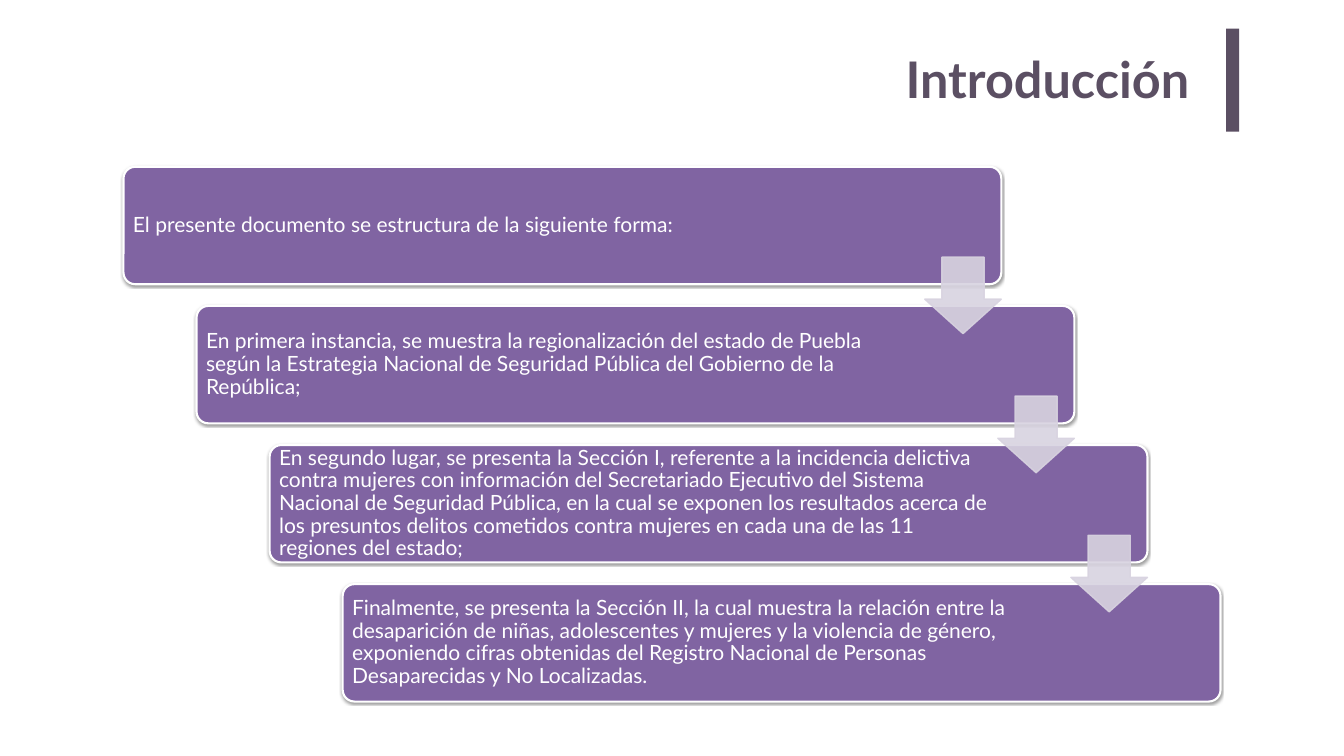
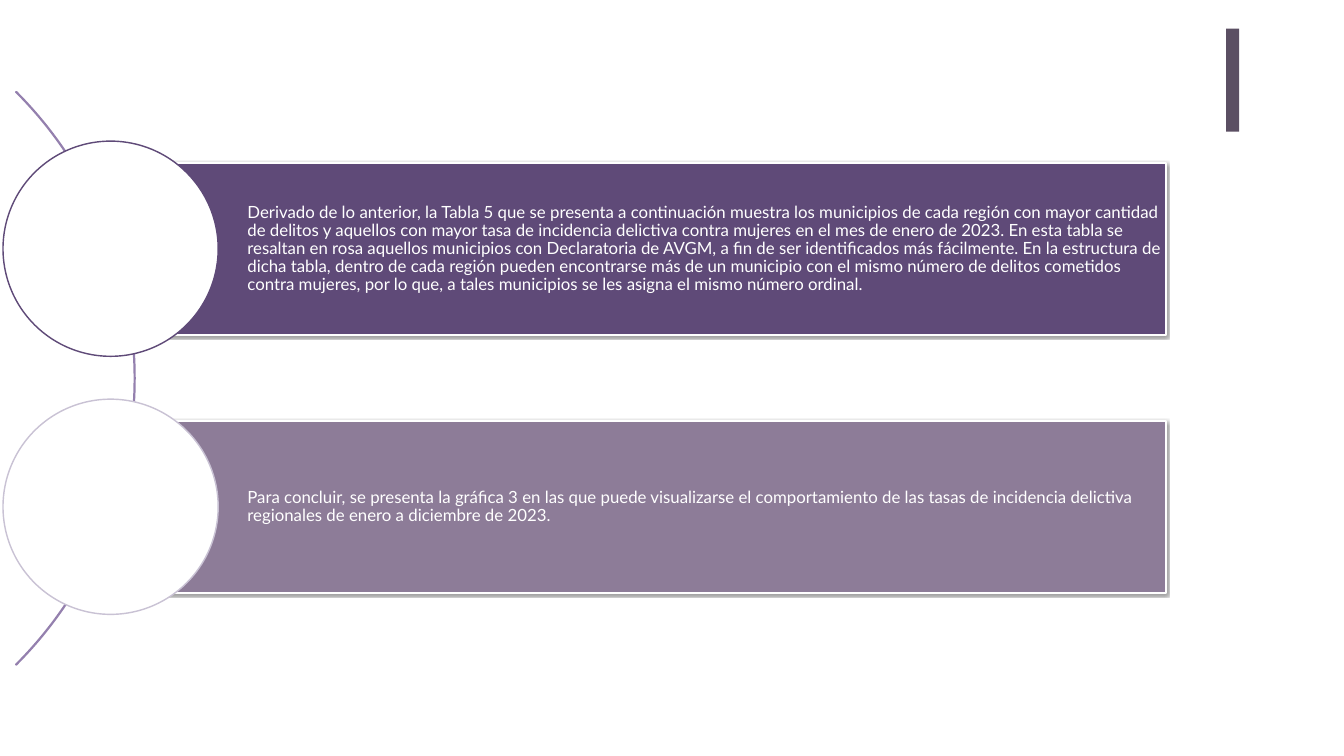
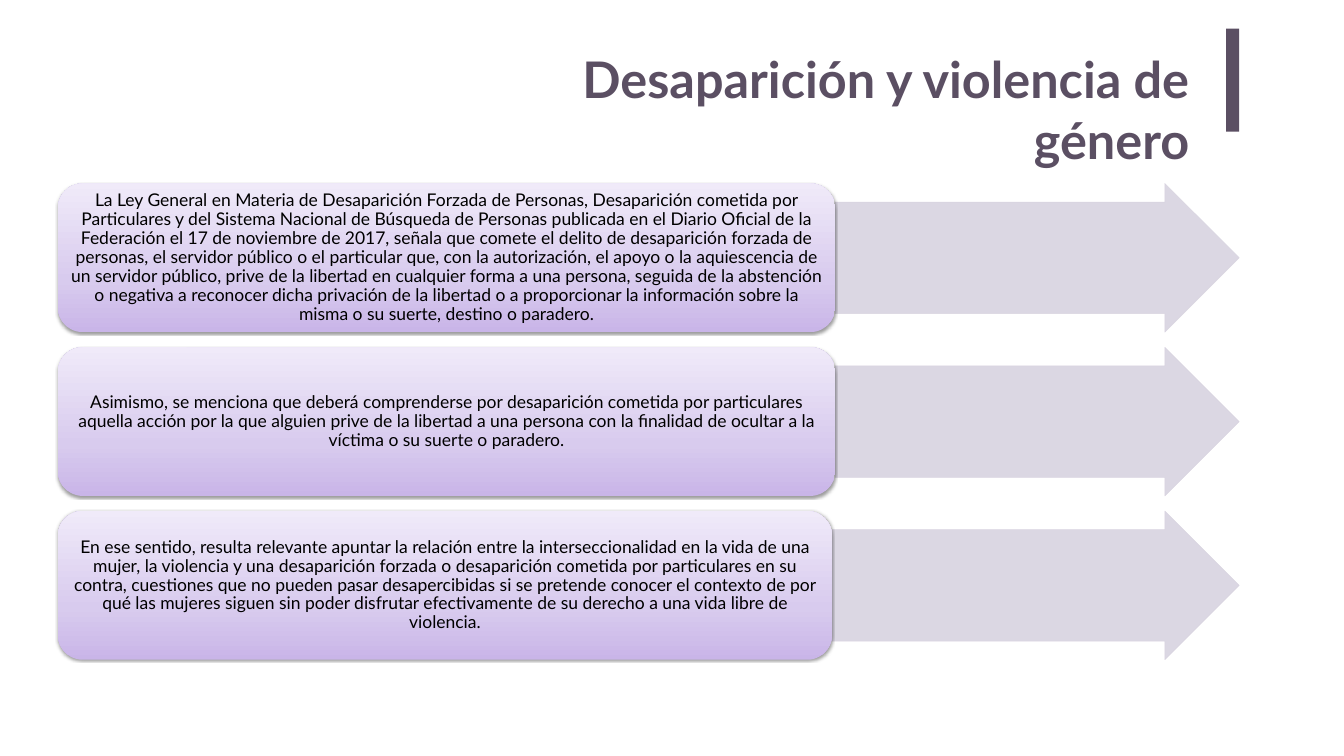
from copy import deepcopy

from lxml.etree import SubElement
from pptx import Presentation
from pptx.dml.color import RGBColor
from pptx.enum.shapes import MSO_SHAPE as SHAPE
from pptx.enum.text import MSO_ANCHOR as ANCHOR, MSO_AUTO_SIZE as AUTO_SIZE, PP_ALIGN as ALIGN
from pptx.oxml.ns import qn
from pptx.util import Inches, Pt

INTRO_TITLE = "Introducción"
INTRO_STEPS = [
    ("El presente documento se estructura de la siguiente forma:", 2.69),
    ("En primera instancia, se muestra la regionalización del estado de Puebla según la "
     "Estrategia Nacional de Seguridad Pública del Gobierno de la República;", 3.09),
    ("En segundo lugar, se presenta la Sección I, referente a la incidencia delictiva contra "
     "mujeres con información del Secretariado Ejecutivo del Sistema Nacional de Seguridad "
     "Pública, en la cual se exponen los resultados acerca de los presuntos delitos cometidos "
     "contra mujeres en cada una de las 11 regiones del estado;", 3.07),
    ("Finalmente, se presenta la Sección II, la cual muestra la relación entre la desaparición "
     "de niñas, adolescentes y mujeres y la violencia de género, exponiendo cifras obtenidas "
     "del Registro Nacional de Personas Desaparecidas y No Localizadas.", 3.09),
]

PLUM = RGBColor(0x5B, 0x4F, 0x63)
PURPLE = RGBColor(0x80, 0x64, 0xA2)
DEEP_PURPLE = RGBColor(0x5F, 0x4A, 0x78)
MAUVE = RGBColor(0x8D, 0x7C, 0x98)
ARC_PURPLE = RGBColor(0x94, 0x80, 0xAE)
RING_GRAY = RGBColor(0xC9, 0xC2, 0xD4)
ARROW_GRAY = RGBColor(0xD8, 0xD3, 0xE0)
WHITE = RGBColor(0xFF, 0xFF, 0xFF)
BLACK = RGBColor(0x00, 0x00, 0x00)
LILAC_STOPS = [
    (0, RGBColor(0xC9, 0xB5, 0xE8)),
    (0.35, RGBColor(0xD8, 0xCB, 0xEE)),
    (1, RGBColor(0xF0, 0xEA, 0xF9)),
]
FONT = "Lato"

FINDINGS = [
    ("Derivado de lo anterior, la Tabla 5 que se presenta a continuación muestra los municipios "
     "de cada región con mayor cantidad de delitos y aquellos con mayor tasa de incidencia "
     "delictiva contra mujeres en el mes de enero de 2023. En esta tabla se resaltan en rosa "
     "aquellos municipios con Declaratoria de AVGM, a fin de ser identificados más fácilmente. "
     "En la estructura de dicha tabla, dentro de cada región pueden encontrarse más de un "
     "municipio con el mismo número de delitos cometidos contra mujeres, por lo que, a tales "
     "municipios se les asigna el mismo número ordinal.", DEEP_PURPLE, DEEP_PURPLE),
    ("Para concluir, se presenta la gráfica 3 en las que puede visualizarse el comportamiento "
     "de las tasas de incidencia delictiva regionales de enero a diciembre de 2023.",
     MAUVE, RING_GRAY),
]

VIOLENCE_TITLE = "Desaparición y violencia de género"
VIOLENCE_POINTS = [
    ("La Ley General en Materia de Desaparición Forzada de Personas, Desaparición cometida por "
     "Particulares y del Sistema Nacional de Búsqueda de Personas publicada en el Diario Oficial "
     "de la Federación el 17 de noviembre de 2017, señala que comete el delito de desaparición "
     "forzada de personas, el servidor público o el particular que, con la autorización, el apoyo "
     "o la aquiescencia de un servidor público, prive de la libertad en cualquier forma a una "
     "persona, seguida de la abstención o negativa a reconocer dicha privación de la libertad o a "
     "proporcionar la información sobre la misma o su suerte, destino o paradero.", 15.42),
    ("Asimismo, se menciona que deberá comprenderse por desaparición cometida por particulares "
     "aquella acción por la que alguien prive de la libertad a una persona con la finalidad de "
     "ocultar a la víctima o su suerte o paradero.", 15.42),
    ("En ese sentido, resulta relevante apuntar la relación entre la interseccionalidad en la "
     "vida de una mujer, la violencia y una desaparición forzada o desaparición cometida por "
     "particulares en su contra, cuestiones que no pueden pasar desapercibidas si se pretende "
     "conocer el contexto de por qué las mujeres siguen sin poder disfrutar efectivamente de su "
     "derecho a una vida libre de violencia.", 15.36),
]


def add_part(slide, kind, left, top, width, height, fill=None, line=None, line_width=0, adj=()):
    part = slide.shapes.add_shape(kind, *map(Inches, (left, top, width, height)))
    part.shadow.inherit = False
    for index, value in enumerate(adj):
        part.adjustments[index] = value
    if fill is None:
        part.fill.background()
    else:
        part.fill.solid()
        part.fill.fore_color.rgb = fill
    if line is None:
        part.line.fill.background()
    else:
        part.line.color.rgb = line
        part.line.width = Pt(line_width)
    return part


def add_shadow(part):
    effects = part._element.spPr.find(qn("a:effectLst"))
    shadow = SubElement(effects, qn("a:outerShdw"), blurRad=str(Pt(3.1)), dist=str(Pt(1.6)),
                        dir="5400000", rotWithShape="0")
    color = SubElement(shadow, qn("a:srgbClr"), val="000000")
    SubElement(color, qn("a:alpha"), val="38000")


def add_arrow(slide, kind, left, top, width, height, line_width, adj):
    arrow = add_part(slide, kind, left, top, width, height, ARROW_GRAY, ARROW_GRAY,
                     line_width, adj)
    for color in arrow._element.spPr.iter(qn("a:srgbClr")):
        SubElement(color, qn("a:alpha"), val="90000")


def fill_lilac(part):
    part.fill.gradient()
    part.fill.gradient_angle = 90
    stops = part._element.spPr.find(".//" + qn("a:gsLst"))
    stops.append(deepcopy(stops[0]))
    for stop, (position, color) in zip(part.fill.gradient_stops, LILAC_STOPS):
        stop.position = position
        stop.color.rgb = color


def write(part, text, size, color, align, insets, anchor=ANCHOR.MIDDLE, bold=False, spacing=0.9):
    frame = part.text_frame
    frame.word_wrap = True
    frame.auto_size = AUTO_SIZE.NONE
    frame.vertical_anchor = anchor
    (frame.margin_left, frame.margin_top,
     frame.margin_right, frame.margin_bottom) = map(Inches, insets)
    paragraph = frame.paragraphs[0]
    paragraph.alignment = align
    paragraph.line_spacing = spacing
    run = paragraph.add_run()
    run.text = text
    run.font.name = FONT
    run.font.size = Pt(size)
    run.font.bold = bold
    run.font.color.rgb = color


def add_slide(deck, title=None, title_left=0):
    slide = deck.slides.add_slide(deck.slide_layouts[5 if title else 6])
    add_part(slide, SHAPE.RECTANGLE, 24.33, 0.57, 0.26, 2.04, PLUM)
    if title:
        heading = slide.shapes.title
        heading.left, heading.top = Inches(title_left), Inches(0.86)
        heading.width, heading.height = Inches(23.8 - title_left), Inches(1.46)
        write(heading, title, 72, PLUM, ALIGN.RIGHT, (0.2, 0.1, 0.2, 0.1), ANCHOR.TOP, True, 1)
    return slide


def build_intro(deck):
    slide = add_slide(deck, INTRO_TITLE, 15.53)
    width, height, arrow_size = 17.42, 2.33, 1.52
    places = [(2.45 + 1.45 * i, 3.31 + 2.76 * i) for i in range(len(INTRO_STEPS))]
    for (left, top), (text, right_inset) in zip(places, INTRO_STEPS):
        step = add_part(slide, SHAPE.ROUNDED_RECTANGLE, left, top, width, height,
                        PURPLE, WHITE, 3, [0.1])
        add_shadow(step)
        write(step, text, 30, WHITE, ALIGN.LEFT, (0.12, 0, right_inset, 0))
    for left, top in places[:-1]:
        add_arrow(slide, SHAPE.DOWN_ARROW, left + width - arrow_size, top + 1.79,
                  arrow_size, arrow_size, 2, [0.55, 0.45])


def build_findings(deck):
    slide = add_slide(deck)
    add_part(slide, SHAPE.BLOCK_ARC, -13.41, -0.54, 16.09, 16.09,
             line=ARC_PURPLE, line_width=2, adj=[189, 27, 0.001])
    for i, (text, fill, ring) in enumerate(FINDINGS):
        top = 3.23 + 5.12 * i
        band = add_part(slide, SHAPE.RECTANGLE, 2.2, top, 20.94, 3.42, fill, WHITE, 3)
        add_shadow(band)
        write(band, text, 24, WHITE, ALIGN.LEFT, (2.71, 0.07, 0.07, 0.07))
        add_part(slide, SHAPE.OVAL, 0.06, top - 0.43, 4.27, 4.27, WHITE, ring, 2)


def build_violence(deck):
    slide = add_slide(deck, VIOLENCE_TITLE, 10.77)
    left, right, height = 1.15, 24.59, 2.95
    for i, (text, width) in enumerate(VIOLENCE_POINTS):
        top = 3.64 + 3.25 * i
        arrow_left = left + width
        add_arrow(slide, SHAPE.RIGHT_ARROW, arrow_left, top, right - arrow_left, height,
                  0.75, [0.75, 0.5])
        point = add_part(slide, SHAPE.ROUNDED_RECTANGLE, left, top, width, height)
        fill_lilac(point)
        add_shadow(point)
        write(point, text, 25, BLACK, ALIGN.CENTER, (0.1, 0, 0.1, 0))


def main():
    deck = Presentation()
    deck.slide_width, deck.slide_height = Inches(26.67), Inches(15)
    build_intro(deck)
    build_findings(deck)
    build_violence(deck)
    deck.save("out.pptx")


if __name__ == "__main__":
    main()
